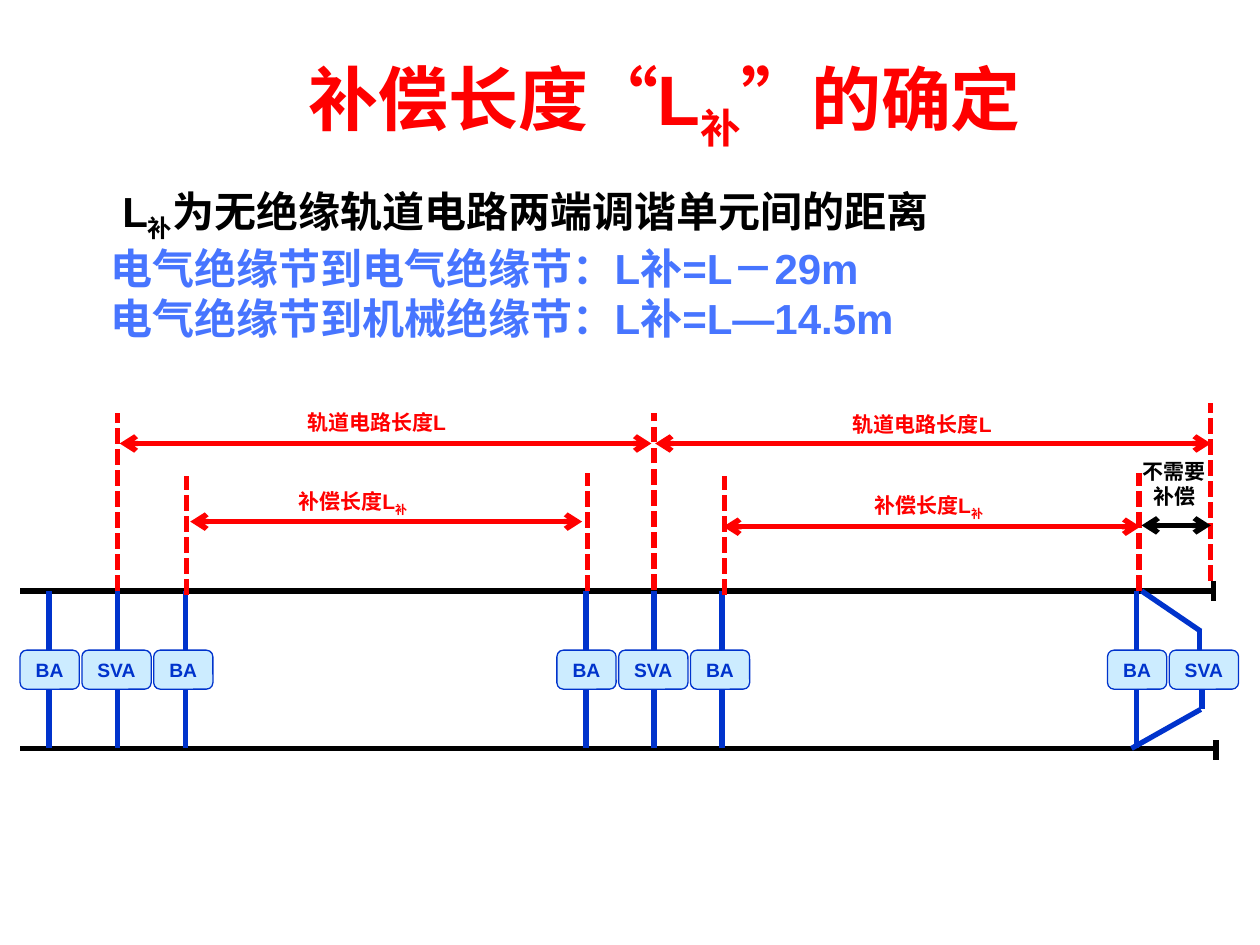
"""Build the slide on how the compensation length of a track circuit is determined."""
from dataclasses import dataclass
from typing import Optional

from lxml import etree
from pptx import Presentation, util as u
from pptx.dml.color import RGBColor
from pptx.enum import dml, lang, shapes, text
from pptx.oxml import ns

RED = RGBColor(0xFF, 0x00, 0x00)
BLACK = RGBColor(0x00, 0x00, 0x00)
SKY = RGBColor(0x47, 0x75, 0xFF)
BLUE = RGBColor(0x00, 0x33, 0xCC)
PALE = RGBColor(0xCC, 0xEC, 0xFF)

TOP_RAIL, BOTTOM_RAIL = 4.69, 5.94
BOX_TOP, BOX_HEIGHT = 5.16, 0.31
BOX_BOTTOM = BOX_TOP + BOX_HEIGHT


@dataclass
class Line:
    x1: float
    y1: float
    x2: float
    y2: float
    color: RGBColor = BLUE
    dashed: bool = False
    arrows: bool = False


@dataclass
class Label:
    left: float
    top: float
    width: float
    height: float
    lines: list[tuple[str, RGBColor]]
    size: int = 12
    align: Optional[text.PP_ALIGN] = None


@dataclass
class Unit:
    name: str
    offset: float
    width: float
    wire: float


UNITS = [
    Unit("BA", 0, 0.47, 0.23),
    Unit("SVA", 0.49, 0.55, 0.77),
    Unit("BA", 1.06, 0.47, 1.31),
]
STATIONS = [0.16, 4.42]
END_STATION = 8.79

MARKERS = [
    Line(x, bottom, x, top, RED, dashed=True)
    for x, bottom, top in [
        (0.93, 4.69, 3.28), (5.19, 4.68, 3.28), (9.61, 4.61, 3.2),
        (1.48, 4.72, 3.78), (4.66, 4.69, 3.75),
        (5.75, 4.72, 3.78), (9.04, 4.69, 3.75),
    ]
]
SPANS = [
    Line(x1, y, x2, y, color, arrows=True)
    for x1, x2, y, color in [
        (0.95, 5.17, 3.52, RED), (5.2, 9.61, 3.52, RED),
        (1.51, 4.62, 4.14, RED), (5.74, 9.05, 4.18, RED),
        (9.06, 9.61, 4.17, BLACK),
    ]
]
RAILS = [
    Line(0.16, TOP_RAIL, 9.61, TOP_RAIL, BLACK),
    Line(0.16, BOTTOM_RAIL, 9.65, BOTTOM_RAIL, BLACK),
    Line(9.63, 4.77, 9.63, 4.61, BLACK),
    Line(9.65, 6.03, 9.65, 5.87, BLACK),
]
END_WIRES = [
    Line(9.53, 5.01, 9.06, TOP_RAIL),
    Line(8.98, BOTTOM_RAIL, 9.53, 5.63),
    Line(9.52, BOX_TOP, 9.52, 5),
    Line(9.54, 5.63, 9.54, BOX_BOTTOM),
]
LABELS = [
    Label(0.78, 1.42, 8.59, 1.36, [
        (" L_补_为无绝缘轨道电路两端调谐单元间的距离", BLACK),
        ("电气绝缘节到电气绝缘节：L补=L－29m", SKY),
        ("电气绝缘节到机械绝缘节：L补=L—14.5m", SKY),
    ], 24),
    Label(2.34, 3.2, 1.64, 0.3, [("轨道电路长度L", RED)]),
    Label(6.67, 3.22, 1.64, 0.3, [("轨道电路长度L", RED)]),
    Label(2.27, 3.83, 1.64, 0.33, [("补偿长度L_补", RED)]),
    Label(6.84, 3.86, 1.64, 0.33, [("补偿长度L_补", RED)]),
    Label(8.89, 3.59, 0.86, 0.5, [("不需要补偿", BLACK)], align=text.PP_ALIGN.CENTER),
]


def write(p, words: str, size: int, color: RGBColor) -> None:
    """Add runs to a paragraph, lowering every part enclosed by underscores."""
    fmt = {"name": "Arial", "size": u.Pt(size), "bold": True,
           "language_id": lang.MSO_LANGUAGE_ID.SIMPLIFIED_CHINESE}
    for i, part in enumerate(words.split("_")):
        r = p.add_run()
        r.text = part
        for key, value in fmt.items():
            setattr(r.font, key, value)
        r.font.color.rgb = color
        if i % 2:
            r._r.get_or_add_rPr().set("baseline", "-25000")


def draw_line(s, line: Line) -> None:
    """Draw a straight connector."""
    ends = [u.Inches(v) for v in (line.x1, line.y1, line.x2, line.y2)]
    c = s.shapes.add_connector(shapes.MSO_CONNECTOR.STRAIGHT, *ends)
    c.line.width = u.Pt(3)
    c.line.color.rgb = line.color
    if line.dashed:
        c.line.dash_style = dml.MSO_LINE.SQUARE_DOT
    props = c._element.spPr
    if line.arrows:
        for tag in ("a:headEnd", "a:tailEnd"):
            etree.SubElement(props.find(ns.qn("a:ln")), ns.qn(tag), type="arrow")
    etree.SubElement(props, ns.qn("a:effectLst"))


def draw_label(s, label: Label) -> None:
    """Draw a text box with one paragraph per line."""
    box = [u.Inches(v) for v in (label.left, label.top, label.width, label.height)]
    tf = s.shapes.add_textbox(*box).text_frame
    tf.word_wrap = True
    tf.auto_size = text.MSO_AUTO_SIZE.SHAPE_TO_FIT_TEXT
    for i, (words, color) in enumerate(label.lines):
        p = tf.add_paragraph() if i else tf.paragraphs[0]
        p.alignment = label.align
        write(p, words, label.size, color)


def draw_unit(s, left: float, unit: Unit) -> None:
    """Draw a rounded box holding the name of a unit."""
    box = [u.Inches(v) for v in (left + unit.offset, BOX_TOP, unit.width, BOX_HEIGHT)]
    sp = s.shapes.add_shape(shapes.MSO_SHAPE.ROUNDED_RECTANGLE, *box)
    sp.shadow.inherit = False
    sp.fill.solid()
    sp.fill.fore_color.rgb = PALE
    sp.line.color.rgb = BLUE
    sp.line.width = u.Pt(0.75)
    tf = sp.text_frame
    tf.vertical_anchor = text.MSO_ANCHOR.MIDDLE
    tf.word_wrap = False
    p = tf.paragraphs[0]
    p.alignment = text.PP_ALIGN.CENTER
    write(p, unit.name, 11, BLUE)


def draw_wires(s, x: float) -> None:
    """Join a unit to both rails."""
    draw_line(s, Line(x, BOX_TOP, x, TOP_RAIL))
    draw_line(s, Line(x, BOTTOM_RAIL, x, BOX_BOTTOM))


def draw_title(s) -> None:
    """Place and fill the title placeholder."""
    sp = s.shapes.title
    place = {"left": 1.8, "top": 0.39, "width": 6.95, "height": 0.86}
    for key, value in place.items():
        setattr(sp, key, u.Inches(value))
    tf = sp.text_frame
    tf.vertical_anchor = text.MSO_ANCHOR.MIDDLE
    p = tf.paragraphs[0]
    p.alignment = text.PP_ALIGN.CENTER
    write(p, "补偿长度“L_补_”的确定", 40, RED)


def main() -> None:
    """Build and save the slide."""
    prs = Presentation()
    prs.slide_width, prs.slide_height = u.Inches(10), u.Inches(7.5)
    s = prs.slides.add_slide(prs.slide_layouts[5])
    draw_title(s)
    for line in RAILS + END_WIRES:
        draw_line(s, line)
    for left in STATIONS:
        for unit in UNITS:
            draw_wires(s, left + unit.wire)
            draw_unit(s, left, unit)
    draw_wires(s, END_STATION + UNITS[0].wire)
    for unit in UNITS[:2]:
        draw_unit(s, END_STATION, unit)
    for line in MARKERS + SPANS:
        draw_line(s, line)
    for label in LABELS:
        draw_label(s, label)
    prs.save("out.pptx")


if __name__ == "__main__":
    main()
